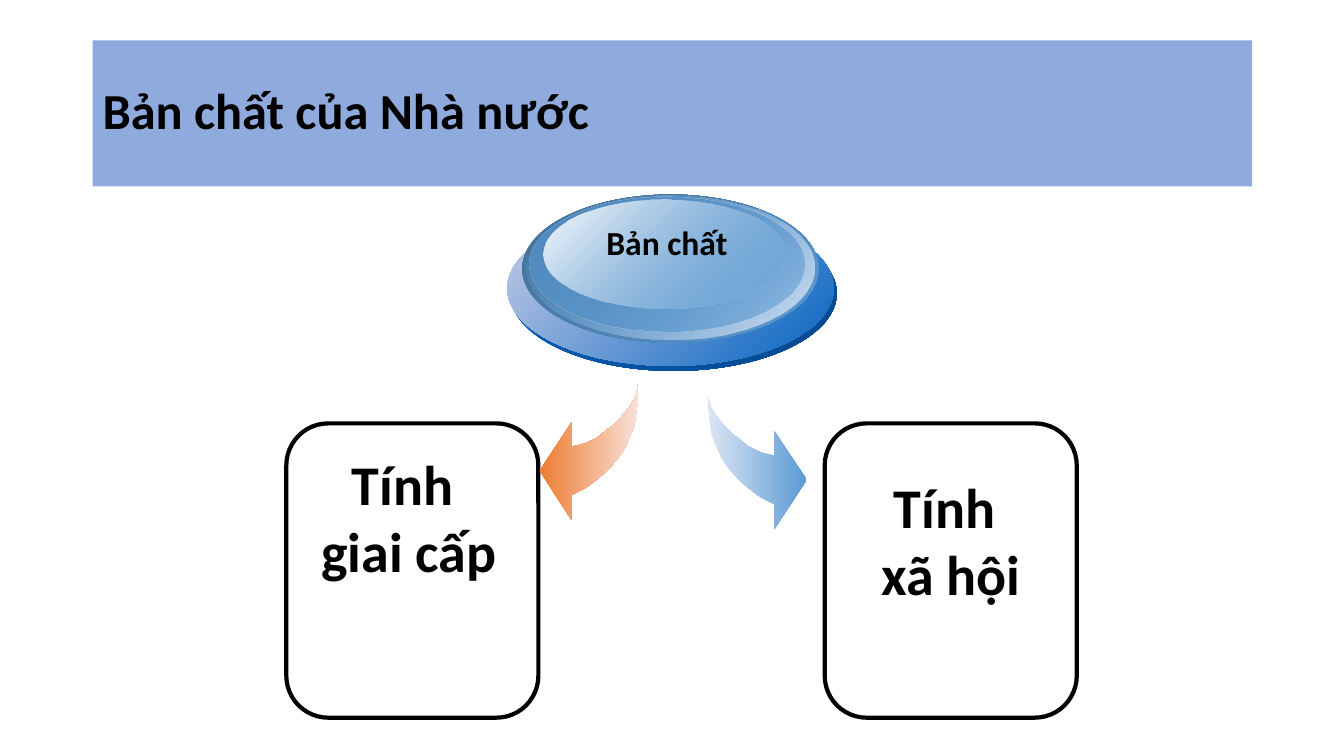
from typing import NamedTuple

from lxml.etree import SubElement
from pptx import Presentation
from pptx.dml.color import RGBColor
from pptx.enum.shapes import MSO_SHAPE
from pptx.enum.text import MSO_ANCHOR, PP_ALIGN
from pptx.oxml.ns import qn
from pptx.util import Inches, Pt

COLORS = {
    "text": "000000", "banner": "8FAADC", "white": "FFFFFF",
    "orange": "ED7D31", "peach": "F9E0D9", "blue": "5B9BD5", "ice": "DCE5F3",
    "royal": "0563C1", "navy": "04488D", "lilac": "C6CDE6",
    "steel": "416F98", "rim": "D8E3F1", "mid": "528CC0",
}


class Stop(NamedTuple):
    color: str
    alpha: int = 100


class Disc(NamedTuple):
    box: tuple[float, float, float, float]
    start: Stop
    end: Stop


class Card(NamedTuple):
    left: float
    text_box: tuple[float, float, float, float]
    lines: list[str]


class Arrow(NamedTuple):
    tail: tuple[float, float]
    side: int  # -1 points left, 1 points right
    start: Stop
    end: Stop


DISCS = [
    Disc((5.06, 2.14, 3.24, 1.54), Stop("royal"), Stop("navy")),
    Disc((5.03, 2.09, 3.24, 1.54), Stop("lilac"), Stop("royal")),
    Disc((5.18, 1.93, 2.94, 1.47), Stop("steel"), Stop("blue")),
    Disc((5.22, 1.94, 2.86, 1.43), Stop("blue", 0), Stop("rim")),
    Disc((5.25, 1.95, 2.73, 1.34), Stop("mid"), Stop("blue", 48)),
    Disc((5.39, 1.98, 2.4, 1.08), Stop("white"), Stop("blue", 38)),
]
CLASS_CARD = Card(2.84, (2.94, 4.41, 2.23, 1.45), ["Tính ", "giai cấp"])
SOCIAL_CARD = Card(8.18, (8.18, 4.64, 2.5, 1.45), ["Tính ", "xã hội"])
LEFT_ARROW = Arrow((6.33, 3.8), -1, Stop("orange"), Stop("peach"))
RIGHT_ARROW = Arrow((7.02, 3.89), 1, Stop("ice"), Stop("blue"))

# Arrow outline: distance outwards and down from the tail
ARROW_OUTLINE = [
    (0, 0), (0, 0.15), (0.02, 0.29), (0.04, 0.43), (0.09, 0.55), (0.14, 0.66),
    (0.21, 0.76), (0.3, 0.86), (0.4, 0.95), (0.52, 1.04), (0.66, 1.11),
    (0.66, 1.36), (0.98, 0.87), (0.66, 0.39), (0.66, 0.63), (0.6, 0.62),
    (0.53, 0.6), (0.46, 0.57), (0.39, 0.53), (0.32, 0.47), (0.25, 0.42),
    (0.18, 0.35), (0.12, 0.28), (0.07, 0.21), (0.03, 0.14), (0.01, 0.07),
]


def rgb(name: str) -> RGBColor:
    return RGBColor.from_string(COLORS[name])


def add_shape(shapes, kind: MSO_SHAPE, box: tuple):
    sp = shapes.add_shape(kind, *map(Inches, box))
    sp.shadow.inherit = False
    sp.line.fill.background()
    return sp


def set_text(sp, lines: list[str], *, size: int, align=PP_ALIGN.CENTER,
             anchor=MSO_ANCHOR.TOP, wrap: bool = True, spacing: float = 1.0) -> None:
    tf = sp.text_frame
    tf.word_wrap = wrap
    tf.vertical_anchor = anchor
    for i, line in enumerate(lines):
        p = tf.add_paragraph() if i else tf.paragraphs[0]
        p.alignment = align
        p.line_spacing = spacing
        r = p.add_run()
        r.text = line
        r.font.name = "Calibri"
        r.font.size = Pt(size)
        r.font.bold = True
        r.font.color.rgb = rgb("text")


def set_gradient(sp, start: Stop, end: Stop, angle: int) -> None:
    sp.fill.gradient()
    sp.fill.gradient_angle = angle
    for target, stop in zip(sp.fill.gradient_stops, (start, end)):
        target.color.rgb = rgb(stop.color)
    # Transparency of each stop
    for clr, stop in zip(sp._element.spPr.iter(qn("a:srgbClr")), (start, end)):
        if stop.alpha < 100:
            SubElement(clr, qn("a:alpha"), val=str(stop.alpha * 1000))


def draw_card(s, card: Card) -> None:
    group = s.shapes.add_group_shape().shapes
    sp = add_shape(group, MSO_SHAPE.ROUNDED_RECTANGLE, (card.left, 4.2, 2.5, 2.92))
    sp.fill.background()
    sp.line.color.rgb = rgb("text")
    sp.line.width = Pt(3)
    set_text(group.add_textbox(*map(Inches, card.text_box)), card.lines, size=40)


def draw_arrow(s, arrow: Arrow) -> None:
    x, y = arrow.tail
    points = [(Inches(x + arrow.side * dx), Inches(y + dy)) for dx, dy in ARROW_OUTLINE]
    builder = s.shapes.build_freeform(*points[0])
    builder.add_line_segments(points[1:], close=True)
    sp = builder.convert_to_shape()
    sp.shadow.inherit = False
    sp.line.fill.background()
    set_gradient(sp, arrow.start, arrow.end, 0)


def draw_button(s) -> None:
    group = s.shapes.add_group_shape().shapes
    for disc in DISCS:
        sp = add_shape(group, MSO_SHAPE.OVAL, disc.box)
        set_gradient(sp, disc.start, disc.end, 315)
    label = group.add_textbox(*map(Inches, (5.91, 2.15, 1.41, 0.51)))
    set_text(label, ["Bản chất"], size=24, wrap=False)


def main() -> None:
    prs = Presentation()
    prs.slide_width, prs.slide_height = Inches(13.33), Inches(7.5)
    s = prs.slides.add_slide(prs.slide_layouts[6])

    # Title banner
    banner = add_shape(s.shapes, MSO_SHAPE.RECTANGLE, (0.92, 0.4, 11.5, 1.45))
    banner.fill.solid()
    banner.fill.fore_color.rgb = rgb("banner")
    set_text(banner, ["Bản chất của Nhà nước"], size=36, align=PP_ALIGN.LEFT,
             anchor=MSO_ANCHOR.MIDDLE, spacing=0.9)

    # Button with one branch to each side
    draw_card(s, CLASS_CARD)
    draw_arrow(s, LEFT_ARROW)
    draw_button(s)
    draw_card(s, SOCIAL_CARD)
    draw_arrow(s, RIGHT_ARROW)

    prs.save("out.pptx")


if __name__ == "__main__":
    main()
